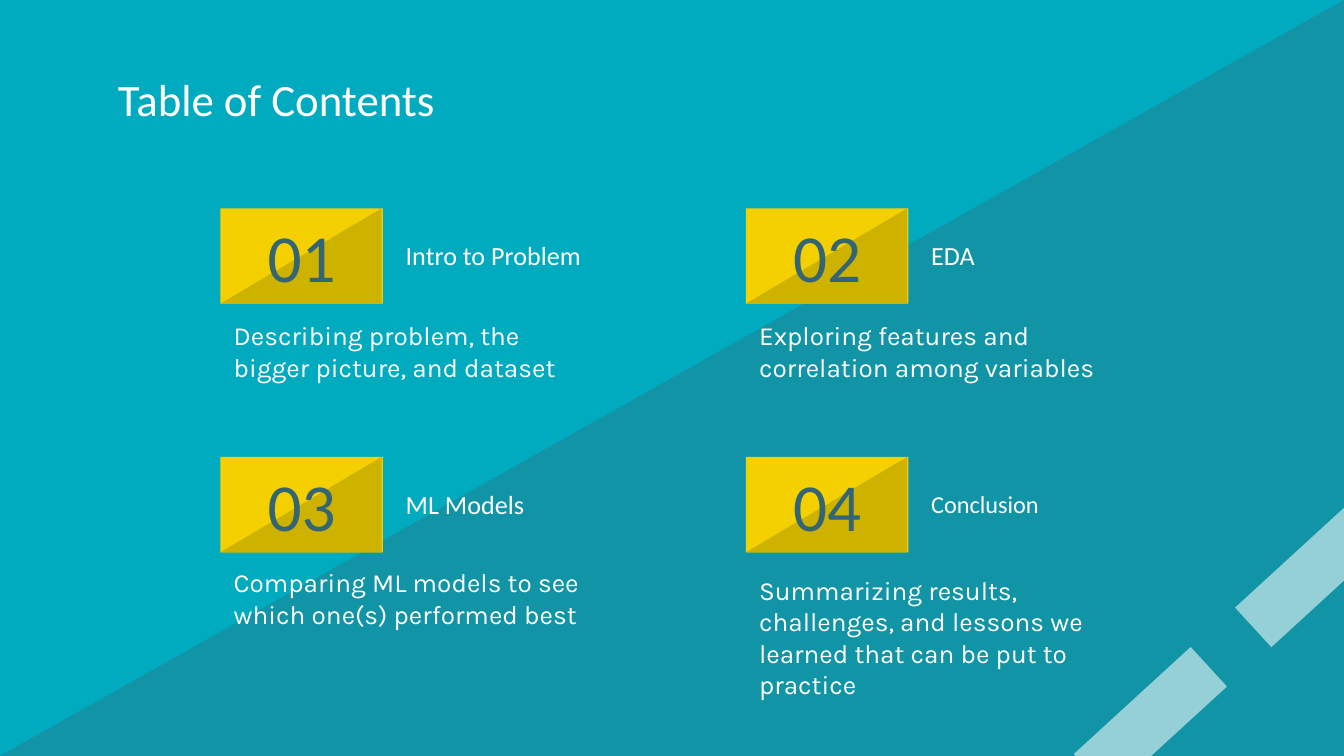
from lxml.etree import SubElement
from pptx import Presentation
from pptx.dml.color import RGBColor
from pptx.enum.shapes import MSO_SHAPE
from pptx.enum.text import MSO_ANCHOR, PP_ALIGN
from pptx.oxml.ns import qn
from pptx.util import Inches, Pt

WIDTH = 10
HEIGHT = WIDTH * 9 / 16
WHITE, SLATE, TEAL = "FFFFFF", "336574", "00ABBF"
YELLOW, GOLD = "F4D000", "CEB200"


def color(value):
    return RGBColor.from_string(value)


def add_block(s, kind, box, fill, alpha=None, rotation=0, flip=False):
    sp = s.shapes.add_shape(kind, *[Inches(v) for v in box])
    sp.shadow.inherit = False
    sp.fill.solid()
    sp.fill.fore_color.rgb = color(fill)
    sp.line.fill.background()
    sp.rotation = rotation
    if flip:
        sp._element.spPr.find(qn("a:xfrm")).set("flipH", "1")
    if alpha is not None:
        rgb = sp._element.spPr.find(qn("a:solidFill")).find(qn("a:srgbClr"))
        SubElement(rgb, qn("a:alpha"), val=str(alpha * 1000))


def add_text(s, text, box, size=14, font="Calibri", fill=WHITE,
             align=PP_ALIGN.LEFT, anchor=MSO_ANCHOR.MIDDLE):
    tf = s.shapes.add_textbox(*[Inches(v) for v in box]).text_frame
    tf.word_wrap = True
    tf.vertical_anchor = anchor
    tf.margin_left = tf.margin_right = Inches(0.1)
    tf.margin_top = tf.margin_bottom = Inches(0.1)
    p = tf.paragraphs[0]
    p.alignment = align
    r = p.add_run()
    r.text = text
    r.font.size = Pt(size)
    r.font.name = font
    r.font.color.rgb = color(fill)


def add_backdrop(s, box):
    x, y, w, h = box
    s.background.fill.solid()
    s.background.fill.fore_color.rgb = color(TEAL)
    add_block(s, MSO_SHAPE.RIGHT_TRIANGLE, box, SLATE, alpha=32, flip=True)
    for dx, dy in ((7.97, 5.16), (9.17, 4.07)):
        add_block(s, MSO_SHAPE.RECTANGLE, (x + dx, y + dy, 1.18, 0.4),
                  WHITE, alpha=56, rotation=317.5)


def add_entry(s, box, number, heading, detail, heading_size=14,
              detail_top=0.73, detail_anchor=MSO_ANCHOR.MIDDLE):
    x, y, w, h = box
    badge = (x, y, 1.21, 0.71)
    add_block(s, MSO_SHAPE.RECTANGLE, badge, YELLOW)
    add_block(s, MSO_SHAPE.RIGHT_TRIANGLE, (x, y, 1.2, 0.71), GOLD, flip=True)
    add_text(s, heading, (x + 1.28, y, w - 1.28, 0.7), size=heading_size)
    add_text(s, detail, (x, y + detail_top, w, h - 0.73), font="Karla",
             anchor=detail_anchor)
    add_text(s, number, badge, size=36, fill=SLATE, align=PP_ALIGN.CENTER)


def add_contents(s, box):
    x, y, w, h = box
    top = MSO_ANCHOR.TOP
    entries = [
        ("Intro to Problem", "Describing problem, the bigger picture, and dataset",
         dict(detail_anchor=top)),
        ("EDA", "Exploring features and correlation among variables",
         dict(detail_anchor=top)),
        ("ML Models", "Comparing ML models to see which one(s) performed best",
         dict(detail_top=0.7)),
        ("Conclusion", "Summarizing results, challenges, and lessons we "
         "learned that can be put to practice",
         dict(heading_size=13, detail_top=0.99)),
    ]
    entry_w, entry_h = 2.83, 1.43
    for i, (heading, detail, style) in enumerate(entries):
        row, col = divmod(i, 2)
        cell = (x + col * (w - entry_w), y + row * (h - entry_h), entry_w, entry_h)
        add_entry(s, cell, f"{i + 1:02d}", heading, detail, **style)


def main():
    prs = Presentation()
    prs.slide_width, prs.slide_height = Inches(WIDTH), Inches(HEIGHT)
    s = prs.slides.add_slide(prs.slide_layouts[6])
    add_backdrop(s, (0, 0, WIDTH, HEIGHT))
    add_text(s, "Table of Contents", (0.78, 0.42, 8.44, 0.63), size=24)
    add_contents(s, (1.64, 1.55, 6.74, 3.28))
    prs.save("out.pptx")


if __name__ == "__main__":
    main()
